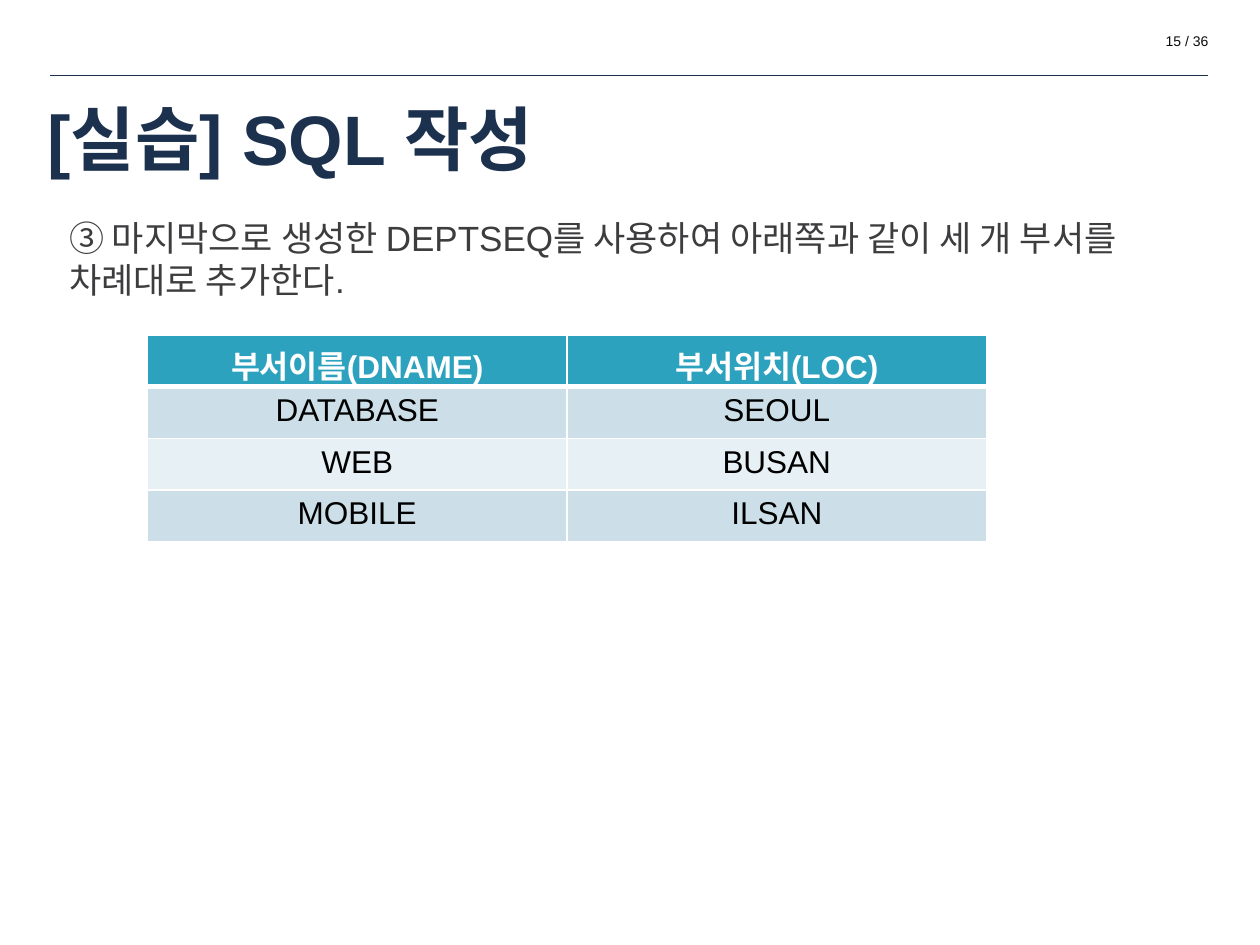
from dataclasses import dataclass

from lxml.etree import SubElement
from pptx import Presentation
from pptx.dml.color import RGBColor
from pptx.enum.shapes import MSO_CONNECTOR as Connector
from pptx.enum.text import MSO_ANCHOR as Anchor, PP_ALIGN as Align
from pptx.oxml import parse_xml
from pptx.oxml.ns import nsdecls, qn
from pptx.util import Inches, Pt


@dataclass(frozen=True)
class Theme:
    font: str = "Arial"
    navy: str = "1C314E"
    body: str = "3D3C3E"
    page: str = "0C0C0C"
    black: str = "000000"
    white: str = "FFFFFF"
    header: str = "2DA2BF"
    bands: tuple = ("CCDFE8", "E7F0F4")
    title_size: int = 40
    body_size: int = 20
    table_size: int = 18
    page_size: int = 8


THEME = Theme()
DEPARTMENTS = [
    ("부서이름(DNAME)", "부서위치(LOC)"),
    ("DATABASE", "SEOUL"),
    ("WEB", "BUSAN"),
    ("MOBILE", "ILSAN"),
]


def add_run(paragraph, text, size, color, bold=False):
    run = paragraph.add_run()
    run.text = text
    font = run.font
    font.name, font.size, font.bold = THEME.font, Pt(size), bold
    font.color.rgb = RGBColor.from_string(color)


def add_text(slide, box, text, size, color, bold=False,
             align=Align.LEFT, anchor=Anchor.TOP):
    frame = slide.shapes.add_textbox(*map(Inches, box)).text_frame
    frame.word_wrap = True
    frame.vertical_anchor = anchor
    paragraph = frame.paragraphs[0]
    paragraph.alignment = align
    add_run(paragraph, text, size, color, bold)


def add_page_header(slide, box):
    """Page number above a thin rule along the bottom of the box."""
    left, top, width, height = box
    right, bottom = left + width, top + height
    add_text(slide, (right - 1.63, top, 1.73, 0.24), "15 / 36",
             THEME.page_size, THEME.page, align=Align.RIGHT)
    rule = slide.shapes.add_connector(
        Connector.STRAIGHT, *map(Inches, (left, bottom, right, bottom)))
    rule.line.color.rgb = RGBColor.from_string(THEME.navy)
    rule.line.width = Pt(0.75)
    SubElement(rule._element.spPr, qn("a:effectLst"))


def set_borders(cell, top, bottom):
    """White cell borders; the widths of top and bottom are in points."""
    properties = cell._tc.get_or_add_tcPr()
    widths = {"lnL": 1, "lnR": 1, "lnT": top, "lnB": bottom}
    for index, (side, width) in enumerate(widths.items()):
        properties.insert(index, parse_xml(
            f'<a:{side} {nsdecls("a")} w="{Pt(width)}"><a:solidFill>'
            f'<a:srgbClr val="{THEME.white}"/></a:solidFill></a:{side}>'))


def add_department_table(slide, box, rows):
    table = slide.shapes.add_table(
        len(rows), len(rows[0]), *map(Inches, box)).table
    for row_index, row in enumerate(rows):
        is_header = row_index == 0
        fill = THEME.header if is_header else THEME.bands[(row_index - 1) % 2]
        color = THEME.white if is_header else THEME.black
        for column_index, text in enumerate(row):
            cell = table.cell(row_index, column_index)
            cell.fill.solid()
            cell.fill.fore_color.rgb = RGBColor.from_string(fill)
            set_borders(cell, top=3 if row_index == 1 else 1,
                        bottom=3 if is_header else 1)
            paragraph = cell.text_frame.paragraphs[0]
            paragraph.alignment = Align.CENTER
            add_run(paragraph, text, THEME.table_size, color, is_header)


def build_exercise_slide(presentation):
    slide = presentation.slides.add_slide(presentation.slide_layouts[6])
    # Page number and rule
    add_page_header(slide, (0.4, 0.21, 9.19, 0.39))
    # Title
    add_text(slide, (0.28, 0.77, 7.65, 0.64), "[실습] SQL 작성",
             THEME.title_size, THEME.navy, bold=True, anchor=Anchor.MIDDLE)
    # Instruction
    add_text(slide, (0.45, 1.67, 9.26, 0.72),
             "③ 마지막으로 생성한 DEPTSEQ를 사용하여 아래쪽과 같이 "
             "세 개 부서를 차례대로 추가한다.",
             THEME.body_size, THEME.body)
    # Departments to add
    add_department_table(slide, (1.17, 2.66, 6.66, 1.64), DEPARTMENTS)


def main():
    presentation = Presentation()
    presentation.slide_width = Inches(10)
    presentation.slide_height = Inches(7.5)
    build_exercise_slide(presentation)
    presentation.save("out.pptx")


if __name__ == "__main__":
    main()
